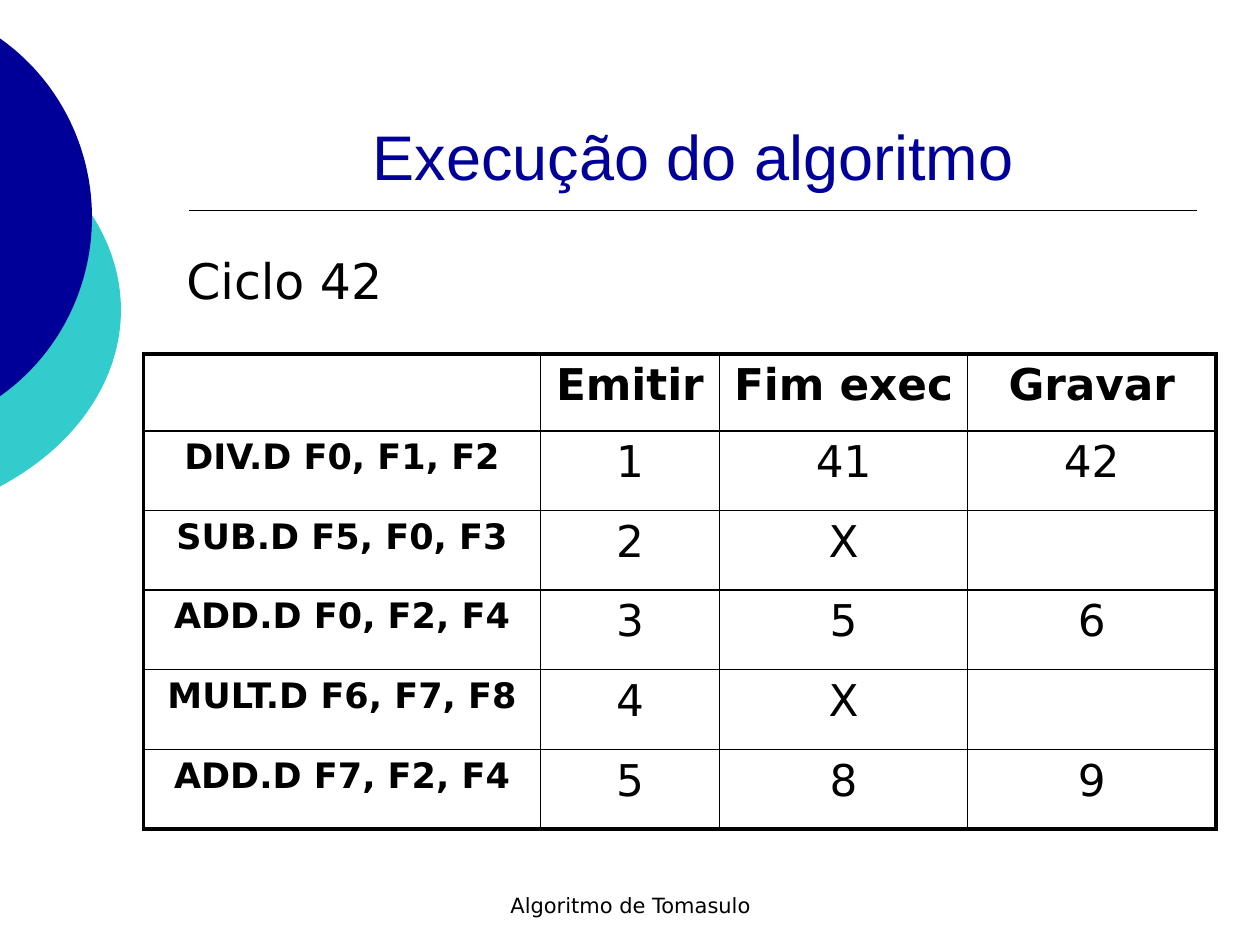
"""Builds the slide showing cycle 42 of the Tomasulo algorithm."""
from lxml.etree import SubElement
from pptx import Presentation
from pptx.dml.color import RGBColor
from pptx.enum.shapes import MSO_CONNECTOR as Connector, MSO_SHAPE as Shape
from pptx.enum.text import MSO_ANCHOR as Anchor, PP_ALIGN as Align
from pptx.oxml import parse_xml
from pptx.oxml.ns import nsdecls, qn
from pptx.util import Inches, Pt

BLACK, NAVY, TEAL = "000000", "000099", "33CCCC"
BODY_FONT, TITLE_FONT = "DejaVu Sans", "Arial"

ELLIPSES = [
    ((-3.54, 0.75, 4.5, 3.42), TEAL),
    ((-2.65, 0, 3.38, 3.45), NAVY),
]
TEXTS = [
    ("Algoritmo de Tomasulo", (3.42, 6.83, 3.17, 0.5), 12, BODY_FONT, BLACK, Align.CENTER, Anchor.BOTTOM),
    ("Execução do algoritmo", (1.5, 0.33, 8, 1.25), 36, TITLE_FONT, NAVY, Align.CENTER, Anchor.BOTTOM),
    ("Ciclo 42", (1.38, 1.94, 2.05, 0.57), 28, BODY_FONT, BLACK, Align.LEFT, Anchor.TOP),
]
ROWS = [
    ("", "Emitir", "Fim exec", "Gravar"),
    ("DIV.D F0, F1, F2", "1", "41", "42"),
    ("SUB.D F5, F0, F3", "2", "X", ""),
    ("ADD.D F0, F2, F4", "3", "5", "6"),
    ("MULT.D F6, F7, F8", "4", "X", ""),
    ("ADD.D F7, F2, F4", "5", "8", "9"),
]
TABLE_LEFT, TABLE_TOP, TABLE_HEIGHT = 1.14, 2.81, 3.77
COLUMN_WIDTHS = [3.15, 1.42, 1.97, 1.97]
HEADER_HEIGHT = 0.61
OUTER_BORDER, INNER_BORDER = 2.25, 1


def rgb(color):
    return RGBColor.from_string(color)


def write(frame, text, size, font, color, align, bold=False):
    para = frame.paragraphs[0]
    para.alignment = align
    span = para.add_run()
    span.text = text
    span.font.size = Pt(size)
    span.font.name = font
    span.font.bold = bold
    span.font.color.rgb = rgb(color)


def add_ellipse(page, place, color):
    ellipse = page.shapes.add_shape(Shape.OVAL, *map(Inches, place))
    ellipse.shadow.inherit = False
    ellipse.fill.solid()
    ellipse.fill.fore_color.rgb = rgb(color)
    ellipse.line.fill.background()


def add_rule(page, left, right, top):
    rule = page.shapes.add_connector(
        Connector.STRAIGHT, Inches(left), Inches(top), Inches(right), Inches(top))
    rule.line.color.rgb = rgb(BLACK)
    rule.line.width = Pt(1)
    SubElement(rule._element.spPr, qn("a:effectLst"))


def add_text(page, text, place, size, font, color, align, anchor):
    box = page.shapes.add_textbox(*map(Inches, place))
    box.text_frame.word_wrap = True
    box.text_frame.vertical_anchor = anchor
    write(box.text_frame, text, size, font, color, align)


def set_borders(cell, outer_sides):
    cell.fill.background()
    properties = cell._tc.get_or_add_tcPr()
    for index, side in enumerate("LRTB"):
        width = Pt(OUTER_BORDER if side in outer_sides else INNER_BORDER)
        properties.insert(index, parse_xml(
            f'<a:ln{side} {nsdecls("a")} w="{width}"><a:solidFill>'
            f'<a:srgbClr val="{BLACK}"/></a:solidFill></a:ln{side}>'))


def add_cycle_table(page):
    last_row, last_column = len(ROWS) - 1, len(COLUMN_WIDTHS) - 1
    row_height = (TABLE_HEIGHT - HEADER_HEIGHT) / last_row
    frame = page.shapes.add_table(
        len(ROWS), len(COLUMN_WIDTHS), Inches(TABLE_LEFT), Inches(TABLE_TOP),
        Inches(sum(COLUMN_WIDTHS)), Inches(TABLE_HEIGHT))
    table = frame.table
    table.first_row = table.horz_banding = False
    for column, width in zip(table.columns, COLUMN_WIDTHS):
        column.width = Inches(width)
    for r, values in enumerate(ROWS):
        table.rows[r].height = Inches(row_height if r else HEADER_HEIGHT)
        for c, value in enumerate(values):
            cell = table.cell(r, c)
            edges = {"L": c == 0, "R": c == last_column, "T": r == 0, "B": r == last_row}
            set_borders(cell, [side for side, outer in edges.items() if outer])
            if value:
                write(cell.text_frame, value, 20 if c == 0 else 25, BODY_FONT, BLACK,
                      Align.CENTER, bold=r == 0 or c == 0)


def main():
    deck = Presentation()
    deck.slide_width, deck.slide_height = Inches(10), Inches(7.5)
    page = deck.slides.add_slide(deck.slide_layouts[6])
    for place, color in ELLIPSES:
        add_ellipse(page, place, color)
    add_rule(page, 1.5, 9.5, 1.67)
    for item in TEXTS:
        add_text(page, *item)
    add_cycle_table(page)
    deck.save("out.pptx")


if __name__ == "__main__":
    main()
